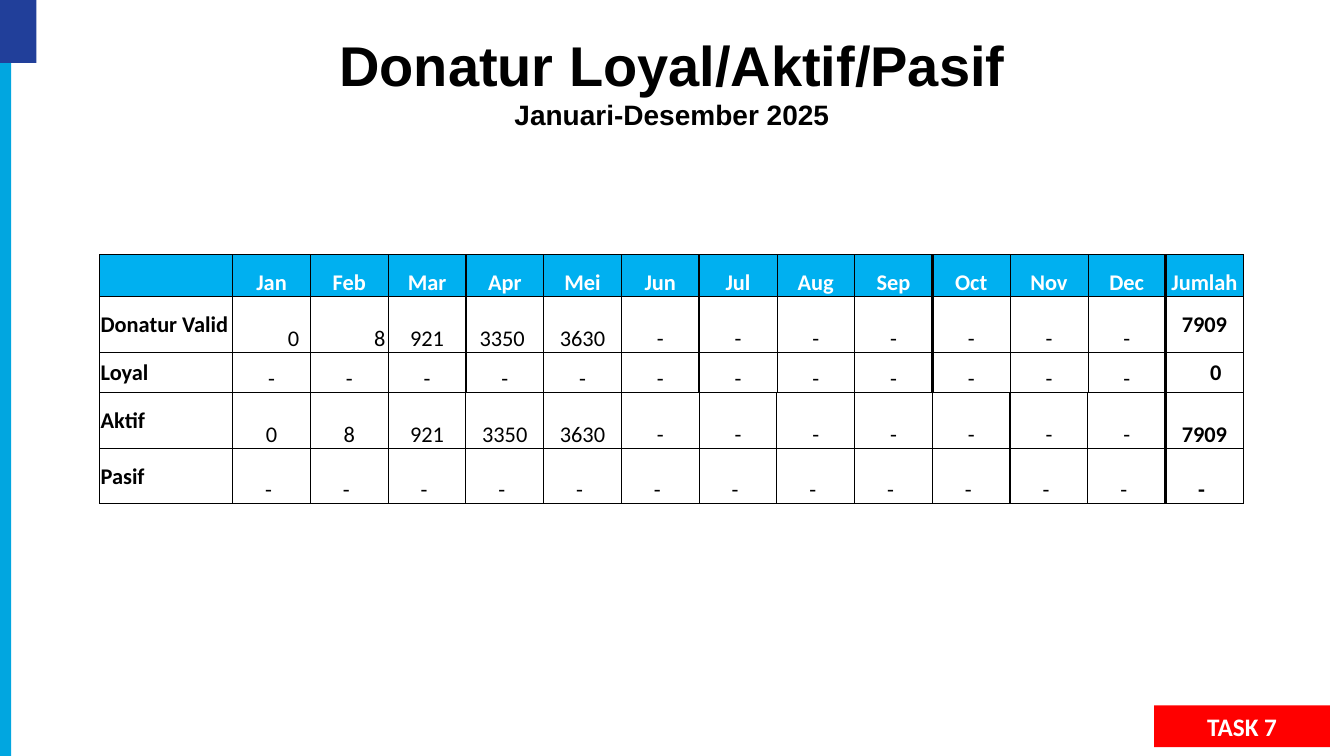
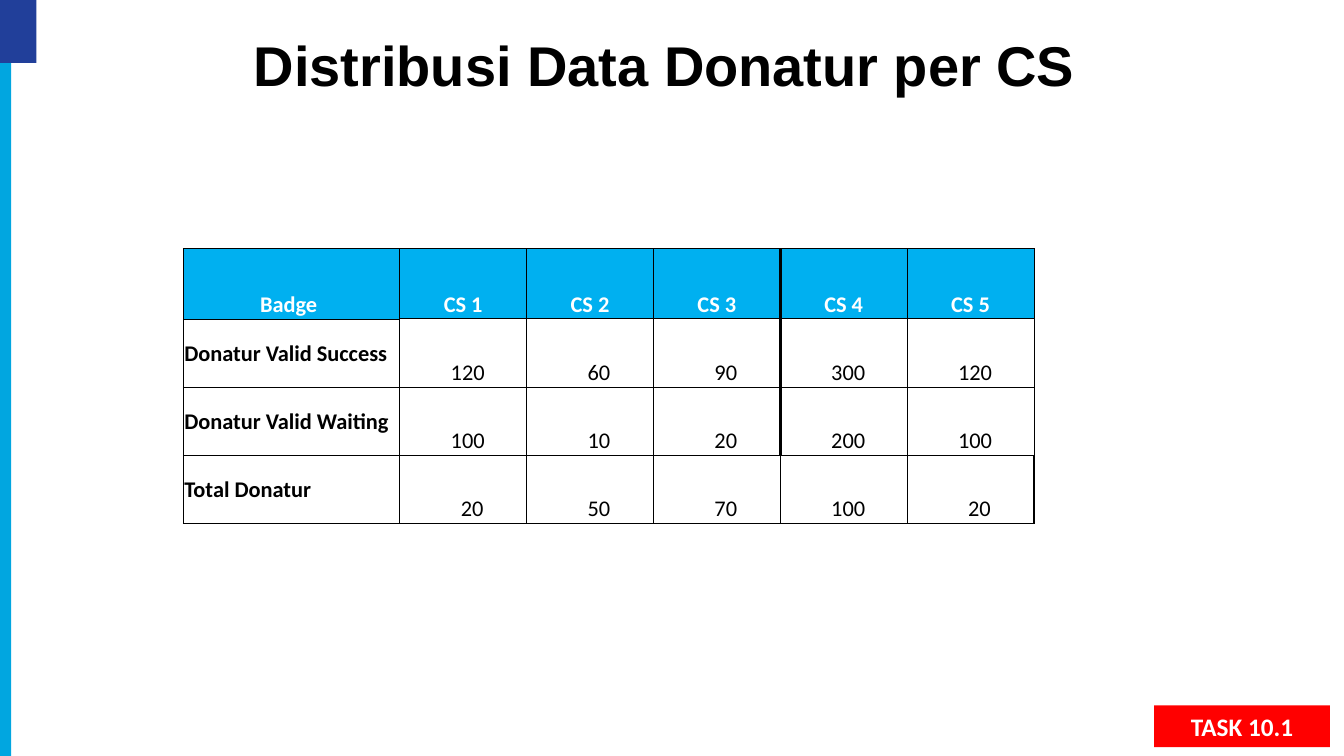
from dataclasses import dataclass

from lxml.etree import SubElement
from pptx import Presentation
from pptx.dml.color import RGBColor
from pptx.enum.shapes import MSO_SHAPE
from pptx.enum.text import MSO_ANCHOR as Anchor, MSO_AUTO_SIZE as Fit, PP_ALIGN as Align
from pptx.oxml.ns import qn
from pptx.util import Pt

COLORS = {
    "ink": "000000",
    "white": "FFFFFF",
    "head": "00B0F0",
    "navy": "213F9A",
    "sky": "01A6E0",
    "red": "FF0000",
}
PAD = 0.72
PLAIN = 3  # first row whose columns are no longer marked off in threes
MONTHS = "Jan Feb Mar Apr Mei Jun Jul Aug Sep Oct Nov Dec".split()


@dataclass
class Item:
    text: str
    align: Align = Align.CENTER
    anchor: Anchor = Anchor.BOTTOM
    left: float = PAD
    right: float = PAD
    bold: bool = False
    color: str = "ink"


@dataclass
class Row:
    height: float
    items: list[Item]


@dataclass
class Grid:
    left: float
    top: float
    first: float
    width: float
    rows: list[Row]
    total: bool = False


@dataclass
class Page:
    title: str
    note: str
    task: str
    grid: Grid


def rgb(name: str) -> RGBColor:
    return RGBColor.from_string(COLORS[name])


def style(para, font: str, size: float, color: str, bold: bool, align: Align) -> None:
    para.alignment = align
    para.font.name, para.font.size, para.font.bold = font, Pt(size), bold
    para.font.color.rgb = rgb(color)


def label(text: str) -> Item:
    return Item(text, Align.LEFT, Anchor.MIDDLE, bold=True)


def head(texts: list[str], height: float) -> Row:
    return Row(height, [Item(text, bold=True, color="white") for text in texts])


def month_row(name: str, height: float, values: list[str], total: Item, shift: float = PAD) -> Row:
    """Fill the months without a value with a dash."""
    texts = values + ["-"] * (len(MONTHS) - len(values))
    total.bold = True
    return Row(height, [label(name), *(Item(text, right=shift) for text in texts), total])


def staff_row(name: str, *values: int) -> Row:
    """Line the values up near the middle by their number of digits."""
    items = [Item(str(v), Align.LEFT, left=58 - 7.2 * len(str(v))) for v in values]
    return Row(48.6, [label(name), *items])


def upright(edge: int, row: int, last: int, total: bool) -> float:
    """Give the width of the vertical rule at a column edge."""
    ends = (0, 1, last) if total else (0, 1)
    third = edge > 1 and edge % 3 == 1
    if third and (row < PLAIN or total and edge == last - 1):
        return 2
    return 1 if row >= PLAIN or edge in ends else 0.5


def level(edge: int, col: int, last: int, total: bool) -> float:
    """Give the width of the horizontal rule at a row edge."""
    inner = 0 < col < (last - 1 if total else last)
    return 1 if edge == 0 or edge == 1 and inner else 0.5


def add_rules(cell, widths: dict[str, float]) -> None:
    props = cell._tc.get_or_add_tcPr()
    for side, width in widths.items():
        line = SubElement(props, qn(f"a:ln{side}"), w=str(Pt(width)))
        fill = SubElement(line, qn("a:solidFill"))
        SubElement(fill, qn("a:srgbClr"), val=COLORS["ink"])


def fill_cell(cell, item: Item) -> None:
    cell.text = item.text
    cell.vertical_anchor = item.anchor
    cell.margin_left, cell.margin_right = Pt(item.left), Pt(item.right)
    cell.margin_top, cell.margin_bottom = Pt(PAD), Pt(0)
    style(cell.text_frame.paragraphs[0], "Calibri", 16, item.color, item.bold, item.align)


def add_grid(slide, grid: Grid) -> None:
    last = len(grid.rows[0].items)
    widths = [grid.first] + [grid.width] * (last - 1)
    frame = slide.shapes.add_table(
        len(grid.rows), last, Pt(grid.left), Pt(grid.top),
        Pt(sum(widths)), Pt(sum(row.height for row in grid.rows)))
    table = frame.table
    table.first_row = table.horz_banding = False
    for col, width in enumerate(widths):
        table.columns[col].width = Pt(width)
    for r, row in enumerate(grid.rows):
        table.rows[r].height = Pt(row.height)
        for c, item in enumerate(row.items):
            cell = table.cell(r, c)
            fill_cell(cell, item)
            add_rules(cell, {
                "L": upright(c, r, last, grid.total),
                "R": upright(c + 1, r, last, grid.total),
                "T": level(r, c, last, grid.total),
                "B": level(r + 1, c, last, grid.total),
            })
            if r == 0:
                cell.fill.solid()
                cell.fill.fore_color.rgb = rgb("head")
            else:
                cell.fill.background()


def add_box(slide, color: str, left: float, top: float, width: float, height: float):
    box = slide.shapes.add_shape(MSO_SHAPE.RECTANGLE, Pt(left), Pt(top), Pt(width), Pt(height))
    box.shadow.inherit = False
    box.fill.solid()
    box.fill.fore_color.rgb = rgb(color)
    box.line.fill.background()
    return box


def set_title(slide, title: str, note: str) -> None:
    shape = slide.shapes.title
    shape.left, shape.top = Pt(126), Pt(18)
    shape.width, shape.height = Pt(708), Pt(80 if note else 55.5)
    frame = shape.text_frame
    frame.auto_size, frame.vertical_anchor = Fit.NONE, Anchor.TOP
    frame.text = f"{title}\n{note}" if note else title
    for para, size in zip(frame.paragraphs, (40, 20)):
        style(para, "Arial", size, "ink", True, Align.CENTER)


def add_page(deck, page: Page) -> None:
    slide = deck.slides.add_slide(deck.slide_layouts[5])
    set_title(slide, page.title, page.note)
    add_grid(slide, page.grid)
    badge = add_box(slide, "red", 824.4, 503.8, 125.6, 30)
    badge.text_frame.text = page.task
    badge.text_frame.vertical_anchor = Anchor.MIDDLE
    style(badge.text_frame.paragraphs[0], "Calibri", 18, "white", True, Align.CENTER)
    add_box(slide, "navy", 0, 0, 26, 45)
    add_box(slide, "sky", 0, 45, 8, 495)


def month_grid() -> Grid:
    sums = ["921", "3350", "3630"]
    valid = month_row("Donatur Valid", 40, ["0", "8", *sums], Item("7909", anchor=Anchor.MIDDLE))
    for item, right in zip(valid.items[1:3], (8, 2)):
        item.align, item.right = Align.RIGHT, right
    valid.items[4].right = 4.5
    return Grid(71.2, 182, 95, 55.55, [
        head(["", *MONTHS, "Jumlah"], 30),
        valid,
        month_row("Loyal", 28.5, [], Item("0", anchor=Anchor.MIDDLE, left=17)),
        month_row("Aktif", 40, ["0", "8", *sums], Item("7909")),
        month_row("Pasif", 39.2, [], Item("-", right=5), 5),
    ], total=True)


def staff_grid() -> Grid:
    top = head(["Badge", *(f"CS {n}" for n in range(1, 6))], 50)
    top.items[0].right = 5
    return Grid(131, 177.8, 154.6, 90.6, [
        top,
        staff_row("Donatur Valid Success", 120, 60, 90, 300, 120),
        staff_row("Donatur Valid Waiting", 100, 10, 20, 200, 100),
        staff_row("Total Donatur", 20, 50, 70, 100, 20),
    ])


def main() -> None:
    deck = Presentation()
    deck.slide_width, deck.slide_height = Pt(960), Pt(540)
    pages = [
        Page("Donatur Loyal/Aktif/Pasif", "Januari-Desember 2025", "TASK 7", month_grid()),
        Page("Distribusi Data Donatur per CS ", "", "TASK 10.1", staff_grid()),
    ]
    for page in pages:
        add_page(deck, page)
    deck.save("out.pptx")


if __name__ == "__main__":
    main()
